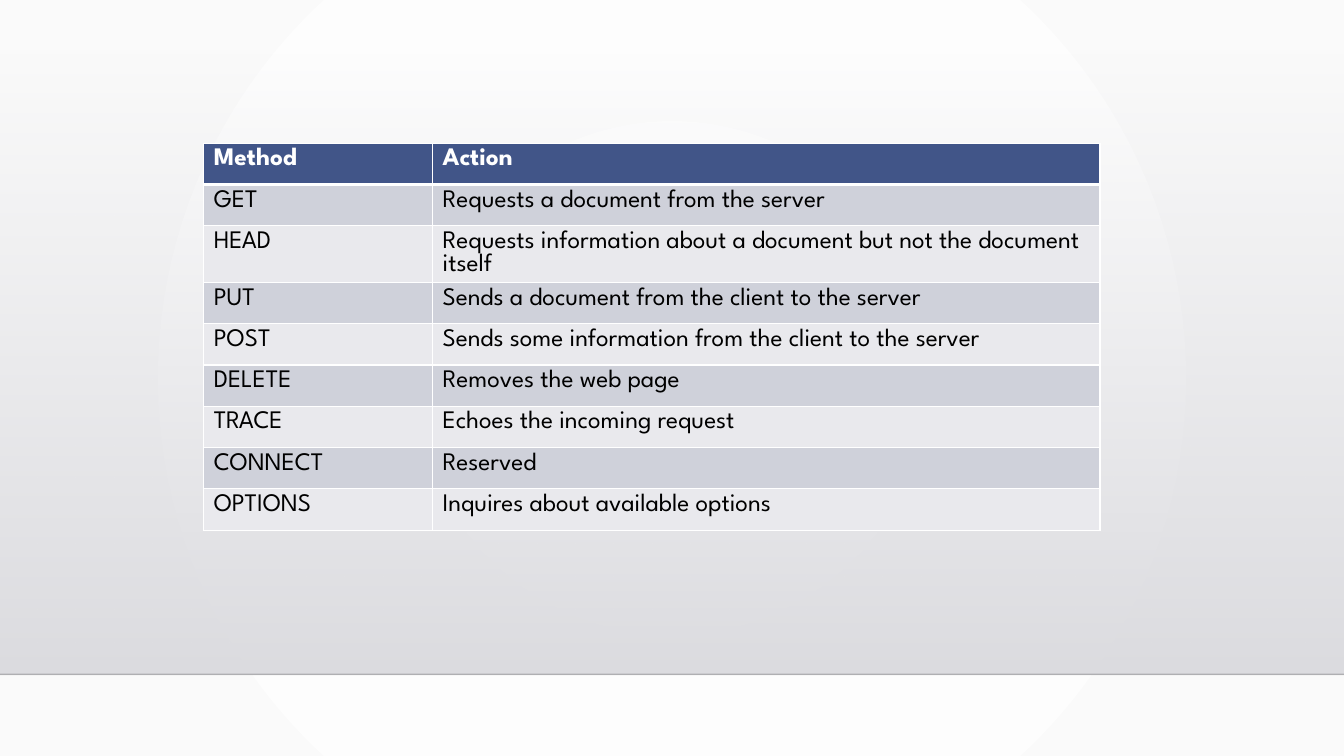
from pptx import Presentation
from pptx.dml.color import RGBColor
from pptx.enum.shapes import MSO_CONNECTOR, MSO_SHAPE
from pptx.oxml import parse_xml
from pptx.oxml.ns import nsdecls, qn
from pptx.util import Inches, Pt

WHITE = RGBColor(0xFF, 0xFF, 0xFF)
BLACK = RGBColor(0x00, 0x00, 0x00)
PALE = RGBColor(0xFA, 0xFA, 0xFA)
FLOOR_TOP = RGBColor(0xDC, 0xDC, 0xE0)
FLOOR_BOTTOM = RGBColor(0xDE, 0xDE, 0xE2)
HORIZON = RGBColor(0x00, 0x00, 0x01)
NAVY = RGBColor(0x41, 0x55, 0x88)
BAND_DARK = RGBColor(0xCF, 0xD1, 0xDA)
BAND_LIGHT = RGBColor(0xE9, 0xE9, 0xED)

SLIDE_WIDTH, SLIDE_HEIGHT = Inches(13.33), Inches(7.5)
HORIZON_Y = Inches(6.69)
COLUMN_WIDTHS = (Inches(2.27), Inches(6.62))
ROW_HEIGHT = Inches(0.41)

BODY_FONT = {"name": "League Spartan", "size": Pt(18), "bold": False}
HEADER_FONT = {**BODY_FONT, "bold": True}

METHODS = [
    ("Method", "Action"),
    ("GET", "Requests a document from the server"),
    ("HEAD", "Requests information about a document but not the document itself"),
    ("PUT", "Sends a document from the client to the server"),
    ("POST", "Sends some information from the client to the server"),
    ("DELETE", "Removes the web page"),
    ("TRACE", "Echoes the incoming request"),
    ("CONNECT", "Reserved"),
    ("OPTIONS", "Inquires about available options"),
]


def set_gradient(fill, colours):
    fill.gradient()
    for stop, colour in zip(fill.gradient_stops, colours):
        stop.color.rgb = colour


def set_alpha(element, percent):
    """Set the opacity of the first colour below the element."""
    colour = next(element.iter(qn("a:srgbClr")))
    colour.append(parse_xml(f'<a:alpha {nsdecls("a")} val="{percent * 1000}"/>'))


def add_backdrop(slide):
    # Radial background
    set_gradient(slide.background.fill, (WHITE, PALE))
    linear = next(slide.element.iter(qn("a:lin")))
    linear.getparent().replace(linear, parse_xml(
        f'<a:path {nsdecls("a")} path="circle">'
        '<a:fillToRect l="50000" t="50000" r="50000" b="50000"/></a:path>'))

    # Shade that fades in down to the horizon
    shade_top = Inches(0.51)
    shade = slide.shapes.add_shape(
        MSO_SHAPE.RECTANGLE, 0, shade_top, SLIDE_WIDTH, HORIZON_Y - shade_top)
    shade.shadow.inherit = False
    shade.line.fill.background()
    set_gradient(shade.fill, (FLOOR_TOP, FLOOR_BOTTOM))
    shade.fill.gradient_angle = 270
    set_alpha(shade.element.spPr, 0)

    # Horizon line
    horizon = slide.shapes.add_connector(
        MSO_CONNECTOR.STRAIGHT, 0, HORIZON_Y, SLIDE_WIDTH, HORIZON_Y)
    horizon.line.width = Pt(1)
    horizon.line.color.rgb = HORIZON
    properties = horizon.element.spPr
    set_alpha(properties, 20)
    properties.append(parse_xml(f'<a:effectLst {nsdecls("a")}/>'))


def set_borders(cell, widths):
    properties = cell._tc.get_or_add_tcPr()
    for position, (side, width) in enumerate(widths.items()):
        properties.insert(position, parse_xml(
            f'<a:ln{side} {nsdecls("a")} w="{Pt(width)}"><a:solidFill>'
            f'<a:srgbClr val="{WHITE}"/></a:solidFill></a:ln{side}>'))


def format_cell(cell, text, fill, colour, font_format):
    cell.text = text
    cell.fill.solid()
    cell.fill.fore_color.rgb = fill
    font = cell.text_frame.paragraphs[0].runs[0].font
    for name, value in font_format.items():
        setattr(font, name, value)
    font.color.rgb = colour


def add_method_table(slide):
    table = slide.shapes.add_table(
        len(METHODS), len(COLUMN_WIDTHS), Inches(2.02), Inches(1.42),
        sum(COLUMN_WIDTHS), ROW_HEIGHT * len(METHODS)).table
    for column, width in zip(table.columns, COLUMN_WIDTHS):
        column.width = width
    for row, texts in enumerate(METHODS):
        table.rows[row].height = ROW_HEIGHT
        if row == 0:
            style = (NAVY, WHITE, HEADER_FONT)
        else:
            style = (BAND_DARK if row % 2 else BAND_LIGHT, BLACK, BODY_FONT)
        borders = {"L": 1, "R": 1, "T": 3 if row == 1 else 1, "B": 3 if row == 0 else 1}
        for column, text in enumerate(texts):
            cell = table.cell(row, column)
            format_cell(cell, text, *style)
            set_borders(cell, borders)


def main():
    presentation = Presentation()
    presentation.slide_width, presentation.slide_height = SLIDE_WIDTH, SLIDE_HEIGHT
    slide = presentation.slides.add_slide(presentation.slide_layouts[6])
    add_backdrop(slide)
    add_method_table(slide)
    presentation.save("out.pptx")


if __name__ == "__main__":
    main()
